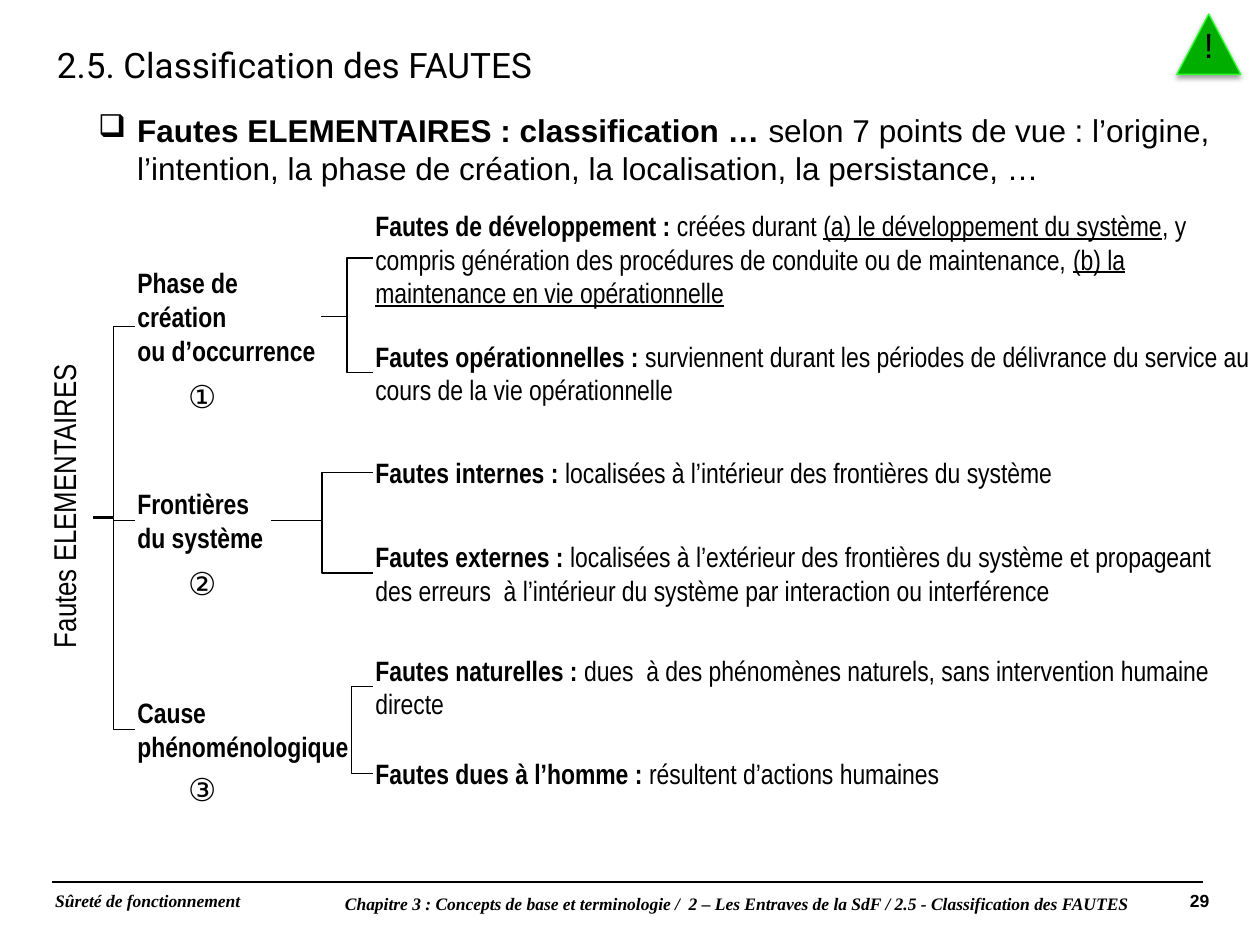
"""Build a slide that sorts elementary faults by phase, boundary and cause."""
from typing import NamedTuple

from lxml.etree import SubElement
from pptx import Presentation
from pptx.dml.color import RGBColor
from pptx.enum.shapes import MSO_CONNECTOR, MSO_SHAPE
from pptx.enum.text import MSO_ANCHOR, MSO_AUTO_SIZE, PP_ALIGN
from pptx.oxml.ns import qn
from pptx.util import Pt

COLOR = {"ink": "000000", "sign": "00AE00", "edge": "2BFF2B"}
NARROW, SERIF = "Arial Narrow", "Times New Roman"
TIGHT = (1.5, 0.75, 1.5, 0.75)
WIDE = (7.2, 3.6, 7.2, 3.6)
ROOT, STEM, LEAF = 53, 77, 213


class Piece(NamedTuple):
    text: str
    bold: bool = False
    under: bool = False


class Box(NamedTuple):
    left: float
    top: float
    width: float
    height: float


class Leaf(NamedTuple):
    box: Box
    words: list[Piece]
    join: float


class Branch(NamedTuple):
    box: Box
    label: str
    mark: str
    mark_top: float
    tip: float
    mid: float
    leaves: list[Leaf]
    bend: str = "bentConnector3"


BRANCHES = [
    Branch(Box(STEM, 157, 106.5, 47.5), "Phase de création\nou d’occurrence",
           "①", 215.5, 183.5, 180.75, [
        Leaf(Box(LEAF, 118, 509, 60), [
            Piece("Fautes de développement : ", True),
            Piece("créées durant "),
            Piece("(a) le développement du système", under=True),
            Piece(", y compris génération des procédures de conduite "
                  "ou de maintenance, "),
            Piece("(b) la maintenance en vie opérationnelle", under=True)], 147.5),
        Leaf(Box(LEAF, 193, 507, 40), [
            Piece("Fautes opérationnelles : ", True),
            Piece("surviennent durant les périodes de délivrance du service "
                  "au cours de la vie opérationnelle")], 213)]),
    Branch(Box(STEM, 277, 78, 40.5), "Frontières du système",
           "②", 322.5, 155, 297.5, [
        Leaf(Box(LEAF, 259.5, 461, 21), [
            Piece("Fautes internes : ", True),
            Piece("localisées à l’intérieur des frontières du système")], 270),
        Leaf(Box(LEAF, 307.5, 494, 40), [
            Piece("Fautes externes : ", True),
            Piece("localisées à l’extérieur des frontières du système et "
                  "propageant des erreurs  à l’intérieur du système par "
                  "interaction ou interférence")], 327.5)]),
    Branch(Box(STEM, 398, 124, 37.5), "Cause phénoménologique",
           "③", 440, 201, 417, [
        Leaf(Box(LEAF, 372.5, 507, 40), [
            Piece("Fautes naturelles : ", True),
            Piece("dues  à des phénomènes naturels, sans intervention "
                  "humaine directe")], 392.5),
        Leaf(Box(LEAF, 431.5, 483, 21), [
            Piece("Fautes dues à l’homme : ", True),
            Piece("résultent d’actions humaines")], 442)], "bentConnector2"),
]


def paint(name: str) -> RGBColor:
    return RGBColor.from_string(COLOR[name])


def place(shape, box: Box) -> None:
    shape.left, shape.top, shape.width, shape.height = map(Pt, box)


def setup(frame, inset, anchor, wrap=True) -> None:
    frame.word_wrap = wrap
    frame.auto_size = MSO_AUTO_SIZE.NONE
    frame.vertical_anchor = anchor
    (frame.margin_left, frame.margin_top,
     frame.margin_right, frame.margin_bottom) = map(Pt, inset)


def write(para, piece: Piece, size: float, face: str, slant=False) -> None:
    for row, line in enumerate(piece.text.split("\n")):
        if row:
            para.add_line_break()
        run = para.add_run()
        run.text = line
        font = run.font
        font.size, font.name = Pt(size), face
        font.bold, font.italic, font.underline = piece.bold, slant, piece.under
        font.color.rgb = paint("ink")


def add_text(slide, box: Box, words: list[Piece], size: float, face: str,
             inset=TIGHT, anchor=MSO_ANCHOR.MIDDLE, align=PP_ALIGN.LEFT,
             slant=False, wrap=True):
    shape = slide.shapes.add_textbox(*map(Pt, box))
    setup(shape.text_frame, inset, anchor, wrap)
    para = shape.text_frame.paragraphs[0]
    para.alignment = align
    for piece in words:
        write(para, piece, size, face, slant)
    return shape


def add_line(slide, x1, y1, x2, y2, width=0.75, bend="") -> None:
    kind = MSO_CONNECTOR.ELBOW if bend else MSO_CONNECTOR.STRAIGHT
    line = slide.shapes.add_connector(kind, *map(Pt, (x1, y1, x2, y2)))
    line.line.width = Pt(width)
    line.line.color.rgb = paint("ink")
    props = line._element.spPr
    if bend:
        props.find(qn("a:prstGeom")).set("prst", bend)
    SubElement(props, qn("a:effectLst"))


def add_branch(slide, branch: Branch) -> None:
    add_text(slide, branch.box, [Piece(branch.label, True)], 16, NARROW)
    add_text(slide, Box(106, branch.mark_top, 22, 21.5), [Piece(branch.mark)],
             18, "Arial", (1.5, 0, 1.5, 0), MSO_ANCHOR.TOP, wrap=False)
    for leaf in branch.leaves:
        add_text(slide, leaf.box, leaf.words, 16, NARROW)
        add_line(slide, LEAF, leaf.join, branch.tip, branch.mid, bend=branch.bend)


def add_head(slide) -> None:
    title = slide.shapes.title
    place(title, Box(22.5, 24, 692.5, 26))
    setup(title.text_frame, (10, 0.75, 1.5, 0.75), MSO_ANCHOR.TOP)
    para = title.text_frame.paragraphs[0]
    para.alignment = PP_ALIGN.LEFT
    write(para, Piece("2.5. Classification des FAUTES"), 20, "Roboto")

    intro = add_text(slide, Box(49, 60, 671, 50), [
        Piece("Fautes ELEMENTAIRES : classification … ", True),
        Piece("selon 7 points de vue : l’origine, l’intention, la phase de "
              "création, la localisation, la persistance, …")],
        18, "Arial", WIDE, MSO_ANCHOR.TOP)
    props = intro.text_frame.paragraphs[0]._p.get_or_add_pPr()
    props.set("marL", str(Pt(22.3)))
    props.set("indent", str(-Pt(22.3)))
    SubElement(props, qn("a:buChar"), char="❑")


def add_foot(slide) -> None:
    add_line(slide, 29.5, 504, 687.5, 504, 1)
    foot = add_text(slide, Box(24.5, 503.5, 684.5, 22),
                    [Piece("Sûreté de fonctionnement", True)], 10, SERIF,
                    WIDE, MSO_ANCHOR.MIDDLE, slant=True)
    para = foot.text_frame.paragraphs[0]
    tabs = SubElement(para._p.get_or_add_pPr(), qn("a:tabLst"))
    SubElement(tabs, qn("a:tab"), pos=str(Pt(659.5)), algn="r")
    write(para, Piece("\t29", True), 10, "Arial")
    add_text(slide, Box(191.5, 507, 456, 18), [
        Piece("Chapitre 3 : Concepts de base et terminologie /  2 – Les Entraves "
              "de la SdF / 2.5 - Classification des FAUTES", True)],
        10, SERIF, (3, 3, 3, 3), MSO_ANCHOR.TOP, PP_ALIGN.RIGHT, True, False)


def add_sign(slide) -> None:
    box = Box(672.5, 8, 36.5, 34.5)
    sign = slide.shapes.add_shape(MSO_SHAPE.TRAPEZOID, *map(Pt, box))
    sign.adjustments[0] = 0.53
    sign.fill.solid()
    sign.fill.fore_color.rgb = paint("sign")
    sign.line.color.rgb = paint("edge")
    sign.line.width = Pt(0.75)
    sign.shadow.inherit = False
    glow = SubElement(sign._element.spPr.find(qn("a:effectLst")),
                      qn("a:outerShdw"), blurRad=str(Pt(3.1)),
                      dist=str(Pt(1.6)), dir="5400000", rotWithShape="0")
    tint = SubElement(glow, qn("a:srgbClr"), val=COLOR["ink"])
    SubElement(tint, qn("a:alpha"), val="38000")
    add_text(slide, box, [Piece("!")], 20, "Arial", (2, 2, 2, 2),
             align=PP_ALIGN.CENTER)


def main() -> None:
    deck = Presentation()
    deck.slide_width, deck.slide_height = Pt(720), Pt(540)
    slide = deck.slides.add_slide(deck.slide_layouts[5])
    add_head(slide)
    trunk = add_text(slide, Box(-62, 273, 196.5, 32.5),
                     [Piece("Fautes ELEMENTAIRES")], 18, NARROW,
                     align=PP_ALIGN.CENTER)
    trunk.rotation = 270
    for branch in BRANCHES:
        add_branch(slide, branch)
    for start, end in ((186.5, 295.5), (417, 296.5), (297.5, 296.5)):
        add_line(slide, STEM, start, ROOT, end, bend="bentConnector3")
    add_foot(slide)
    add_sign(slide)
    deck.save("out.pptx")


if __name__ == "__main__":
    main()
